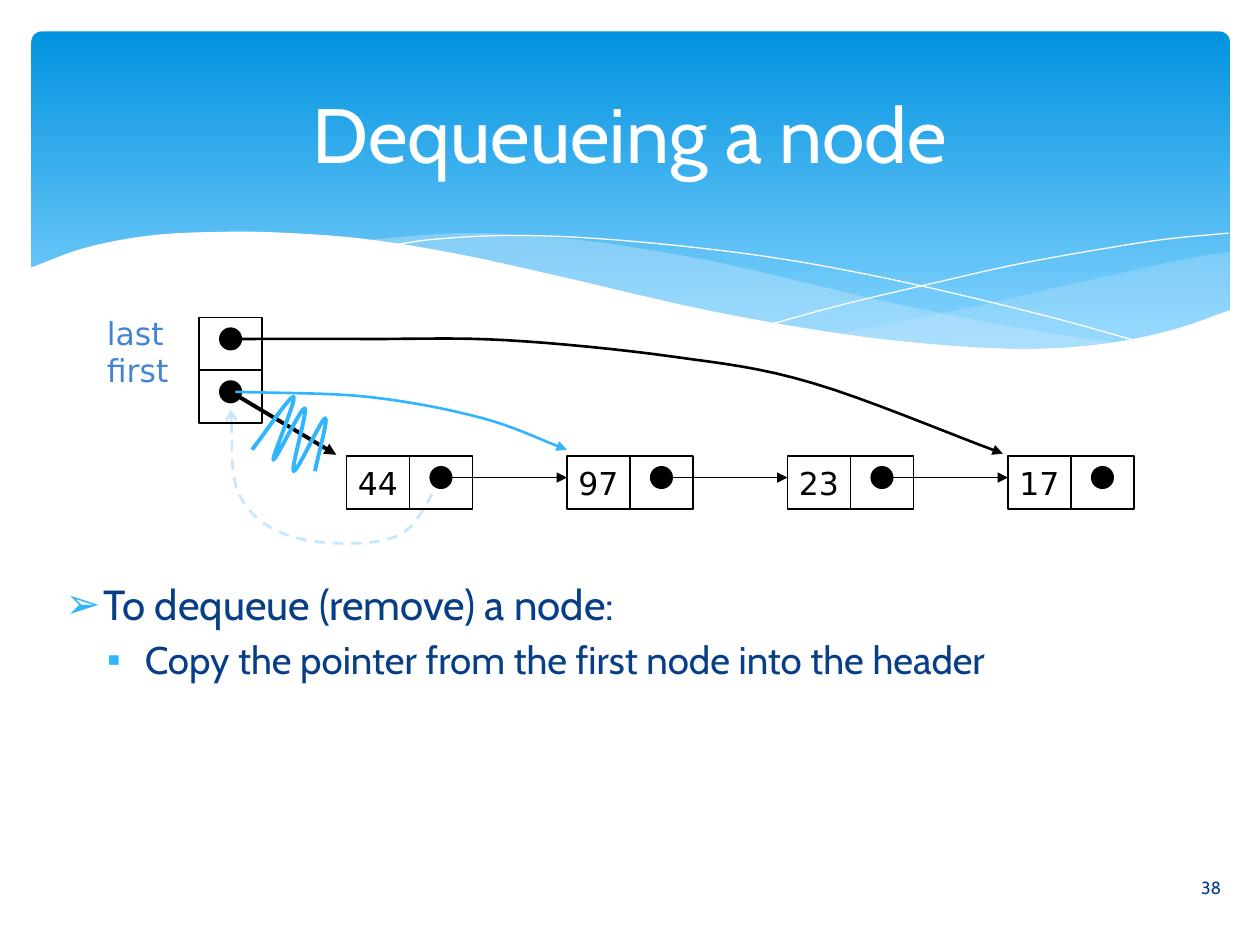
from lxml import etree
from pptx import Presentation
from pptx.dml.color import RGBColor
from pptx.enum import dml, shapes, text
from pptx.oxml import ns
from pptx.util import Pt

# Content
TITLE = "Dequeueing a node"
BULLETS = [  # text, level, size, symbol, text indent
    ("To dequeue (remove) a node:", 0, 24, "➢", 21.6),
    ("Copy the pointer from the first node into the header", 1, 22, "▪", 45.4),
]
NODES = ["44", "97", "23", "17"]
HEADER_LABEL = "last\nfirst"
PAGE_NUMBER = "38"

BLACK, WHITE, NAVY, SKY, PALE = "000000", "FFFFFF", "073E87", "31B6FD", "C6E7FC"
SHAPE, LINK = shapes.MSO_SHAPE, shapes.MSO_CONNECTOR
ALIGN, ANCHOR = text.PP_ALIGN, text.MSO_ANCHOR

# Waves: each outline is a list of smooth strokes; fill colour, opacity
WAVES = [
    ([[(702.7, 144), (682.6, 146.9), (652.3, 153.4), (619.9, 160.6),
       (560.9, 174.2), (508.3, 185), (475.9, 190.8)],
      [(475.9, 190.8), (507.6, 195.1), (545, 198.7), (586.1, 200.2),
       (621.4, 198), (651.6, 193.7), (678.2, 186.5), (702.7, 177.8)]], PALE, 29),
    ([[(643, 196.6), (602.6, 190.8), (558, 182.9), (508.3, 172.8),
       (452.9, 159.8), (409.7, 149.8), (370.1, 142.6), (334.8, 137.5),
       (302.4, 134.6), (273.6, 133.2), (247.7, 133.9), (205.9, 137.5)],
      [(205.9, 137.5), (246.2, 143.3), (290.9, 151.9), (323.3, 159.8),
       (381.6, 172.8), (432.7, 183.6), (478.8, 191.5), (519.8, 197.3),
       (556.6, 199.4), (589, 200.2), (617, 199.4), (643, 196.6)]], PALE, 40),
    ([[(703.4, 177.1), (669.6, 188.6), (630, 196.6), (582.5, 199.4),
       (522.7, 195.8), (466.6, 188.6), (399.6, 176.4), (321.8, 158.4),
       (262.8, 145.4), (210.2, 136.8), (165.6, 133.2), (127.4, 132.5),
       (85.7, 134.6), (48.2, 141.8), (16.6, 153.4)],
      [(16.6, 236.9), (703.4, 236.9)]], WHITE, 100),
]
HAIRLINES = [
    [(222.5, 140.4), (247.7, 136.8), (288.7, 134.6), (337.7, 136.1),
     (400.3, 141.8), (457.9, 149.8), (523.4, 162.7), (598.3, 180.7), (653, 195.8)],
    [(441.4, 185), (483.8, 173.5), (538.6, 160.6), (580.3, 151.2),
     (623.5, 143.3), (665.3, 136.8), (702, 133.2)],
]

# Pointer curves
RETURN_PATH = [(252.7, 273.6), (226.1, 306.7), (169.2, 307.4), (136.8, 283), (131.8, 234)]
LAST_PATH = [(131.8, 193.7), (210.2, 193.7), (289.4, 194.4), (384.5, 203.8),
             (464.4, 218.9), (573.1, 259.2)]
NEW_FIRST_PATH = [(134.6, 223.9), (210.2, 226.8), (275.8, 239), (324, 257)]
SCRIBBLE = [(144, 257), (167.8, 226.8), (156.2, 262.8), (174.2, 233.3),
            (167.8, 269.3), (185.8, 239), (180, 269.3)]

# Diagram grid
CELL_W, CELL_H, DOT = 36, 30.2, 12.2
NODE_X, NODE_Y, NODE_STEP = 198, 260.6, 126
HEADER_X, HEADER_Y = 113.8, 181.4
DOT_DROP = 12.3

deck = Presentation()
deck.slide_width, deck.slide_height = Pt(720), Pt(540)
page = deck.slides.add_slide(deck.slide_layouts[1])


def rgb(code):
    return RGBColor.from_string(code)


def add_xml(parent, tag, **attributes):
    return etree.SubElement(parent, ns.qn(tag), attributes)


def place(box, left, top, width, height):
    box.left, box.top, box.width, box.height = map(Pt, (left, top, width, height))


def write(para, words, size=18, font="DejaVu Sans", color=BLACK, align=None):
    para.alignment = align
    for index, words_line in enumerate(words.split("\n")):
        if index:
            para.add_line_break()
        span = para.add_run()
        span.text = words_line
        span.font.size, span.font.name = Pt(size), font
        span.font.color.rgb = rgb(color)


def style(item, fill=None, opacity=100, line=None, width=1, dash=None, head=None):
    if fill:
        item.fill.solid()
        item.fill.fore_color.rgb = rgb(fill)
        if opacity < 100:
            color = item.fill._xPr.find(".//" + ns.qn("a:srgbClr"))
            add_xml(color, "a:alpha", val=str(opacity * 1000))
    elif hasattr(item, "fill"):
        item.fill.background()
    if line:
        item.line.color.rgb = rgb(line)
        item.line.width = Pt(width)
        if dash:
            item.line.dash_style = dash
        if head:
            add_xml(item.line._get_or_add_ln(), "a:tailEnd", type=head)
    else:
        item.line.fill.background()
    if hasattr(item, "shadow"):
        item.shadow.inherit = False
    else:
        add_xml(item._element.spPr, "a:effectLst")
    return item


def add_box(kind, left, top, width, height, **look):
    box = page.shapes.add_shape(kind, *map(Pt, (left, top, width, height)))
    return style(box, **look)


def smooth(knots, steps=8):
    """Sample a Catmull-Rom spline through the knots."""
    def beyond(end, inner):
        return tuple(2 * a - b for a, b in zip(end, inner))

    ring = [beyond(knots[0], knots[1]), *knots, beyond(knots[-1], knots[-2])]
    points = [knots[0]]
    for before, start, end, after in zip(ring, ring[1:], ring[2:], ring[3:]):
        for step in range(1, steps + 1):
            t = step / steps
            points.append(tuple(
                b + t * (c - a) / 2 + t * t * (a - 2.5 * b + 2 * c - d / 2)
                + t ** 3 * (1.5 * (b - c) + (d - a) / 2)
                for a, b, c, d in zip(before, start, end, after)))
    return points


def add_curve(strokes, close=False, **look):
    points = [(Pt(x), Pt(y)) for stroke in strokes for x, y in smooth(stroke)]
    builder = page.shapes.build_freeform(*points[0])
    builder.add_line_segments(points[1:], close=close)
    return style(builder.convert_to_shape(), **look)


def add_arrow(start, end, width=1):
    arrow = page.shapes.add_connector(LINK.STRAIGHT, *map(Pt, (*start, *end)))
    style(arrow, line=BLACK, width=width, head="triangle")


def add_text(words, left, top, width, height, anchor=ANCHOR.TOP, **look):
    box = page.shapes.add_textbox(*map(Pt, (left, top, width, height)))
    box.text_frame.word_wrap = True
    box.text_frame.vertical_anchor = anchor
    write(box.text_frame.paragraphs[0], words, **look)


def add_pointer_cell(left, top):
    """Draw an empty cell with a dot and return the dot's centre."""
    add_box(SHAPE.RECTANGLE, left, top, CELL_W, CELL_H, line=BLACK)
    x, y = left + CELL_W / 2, top + DOT_DROP
    add_box(SHAPE.OVAL, x - DOT / 2, y - DOT / 2, DOT, DOT, fill=BLACK, line=BLACK)
    return x, y


# Banner and waves
banner = add_box(SHAPE.ROUNDED_RECTANGLE, 18, 18, 684.7, 194.4)
banner.adjustments[0] = 0.03
banner.fill.gradient()
banner.fill.gradient_angle = 270
for stop, (color, position) in zip(banner.fill.gradient_stops,
                                   [("0293E0", 0), ("83D3FE", 0.9)]):
    stop.color.rgb, stop.position = rgb(color), position
for strokes, color, opacity in WAVES[:2]:
    add_curve(strokes, close=True, fill=color, opacity=opacity)
for knots in HAIRLINES:
    add_curve([knots], line=WHITE, width=0)
strokes, color, opacity = WAVES[2]
add_curve(strokes, close=True, fill=color, opacity=opacity)

# Title and bullets, lifted above the banner
title, body = page.shapes.title, page.placeholders[1]
for holder in (title, body):
    holder._element.getparent().append(holder._element)
    holder.text_frame.auto_size = text.MSO_AUTO_SIZE.NONE
place(title, 36, 26.6, 648, 98.6)
title.text_frame.vertical_anchor = ANCHOR.MIDDLE
write(title.text_frame.paragraphs[0], TITLE, size=44, font="Cabin", color=WHITE,
      align=ALIGN.CENTER)
place(body, 30.2, 326.9, 675.4, 69.1)
for index, (words, level, size, symbol, indent) in enumerate(BULLETS):
    para = body.text_frame.add_paragraph() if index else body.text_frame.paragraphs[0]
    write(para, words, size=size, font="Cabin", color=NAVY)
    para.level = level
    props = para._p.get_or_add_pPr()
    props.set("marL", str(Pt(indent)))
    props.set("indent", str(-Pt(21.6)))
    add_xml(add_xml(props, "a:buClr"), "a:srgbClr", val=SKY)
    add_xml(props, "a:buChar", char=symbol)
add_text(PAGE_NUMBER, 406.8, 492.5, 298.1, 28.8, anchor=ANCHOR.MIDDLE, size=10,
         font="Cabin", color=NAVY, align=ALIGN.RIGHT)

# Linked nodes
add_curve([RETURN_PATH], line=PALE, width=1.5, dash=dml.MSO_LINE.DASH, head="arrow")
for index, value in enumerate(NODES):
    left = NODE_X + index * NODE_STEP
    cell = add_box(SHAPE.RECTANGLE, left, NODE_Y, CELL_W, CELL_H, line=BLACK)
    cell.text_frame.word_wrap = False
    cell.text_frame.vertical_anchor = ANCHOR.MIDDLE
    write(cell.text_frame.paragraphs[0], value, align=ALIGN.CENTER)
    x, y = add_pointer_cell(left + CELL_W, NODE_Y)
    if index < len(NODES) - 1:
        add_arrow((x, y), (left + NODE_STEP, y))

# Header and its pointers
add_text(HEADER_LABEL, 54, 175.7, 77.8, 64.8, color="4584D3")
add_pointer_cell(HEADER_X, HEADER_Y)
first_dot = add_pointer_cell(HEADER_X, HEADER_Y + CELL_H)
add_arrow(first_dot, (192.2, 259.9), width=2.25)
add_curve([LAST_PATH], line=BLACK, width=1.5, head="triangle")
add_curve([NEW_FIRST_PATH], line=SKY, width=1.5, head="triangle")
add_curve([SCRIBBLE], line=SKY, width=2.25)

deck.save("out.pptx")
